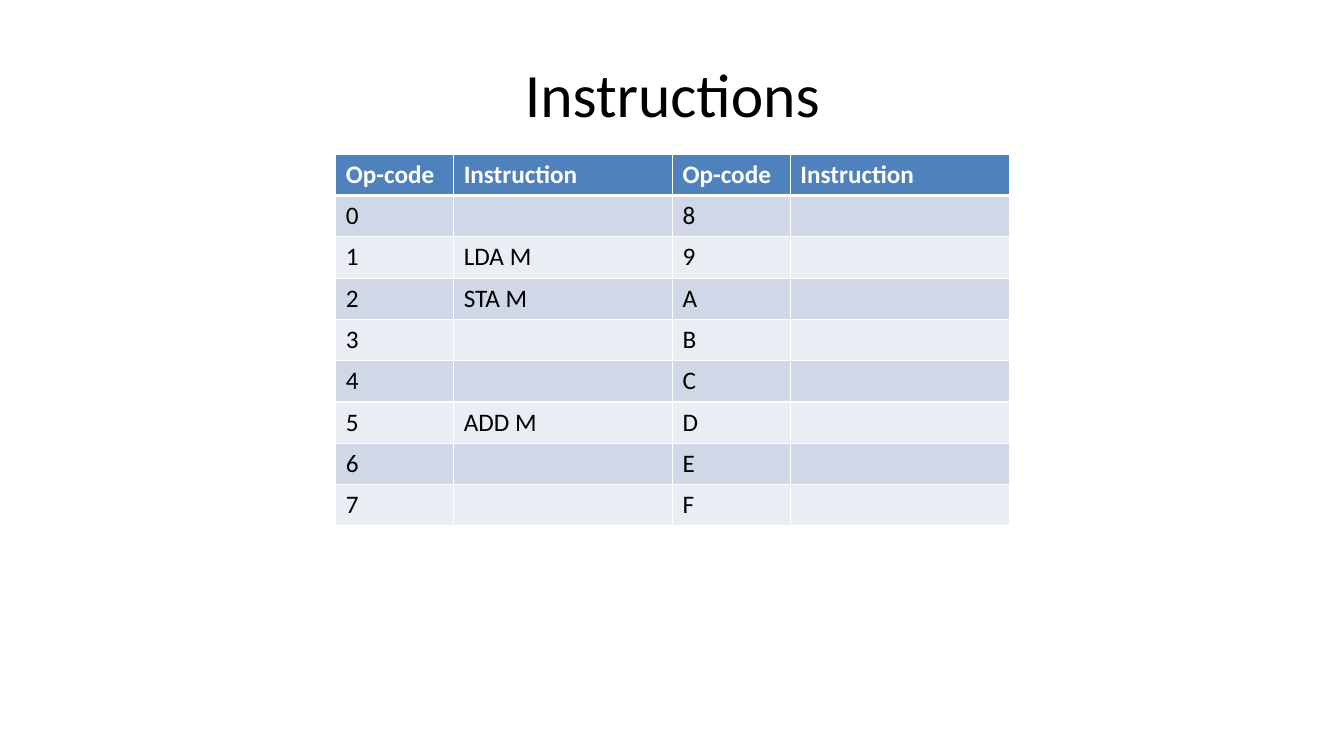
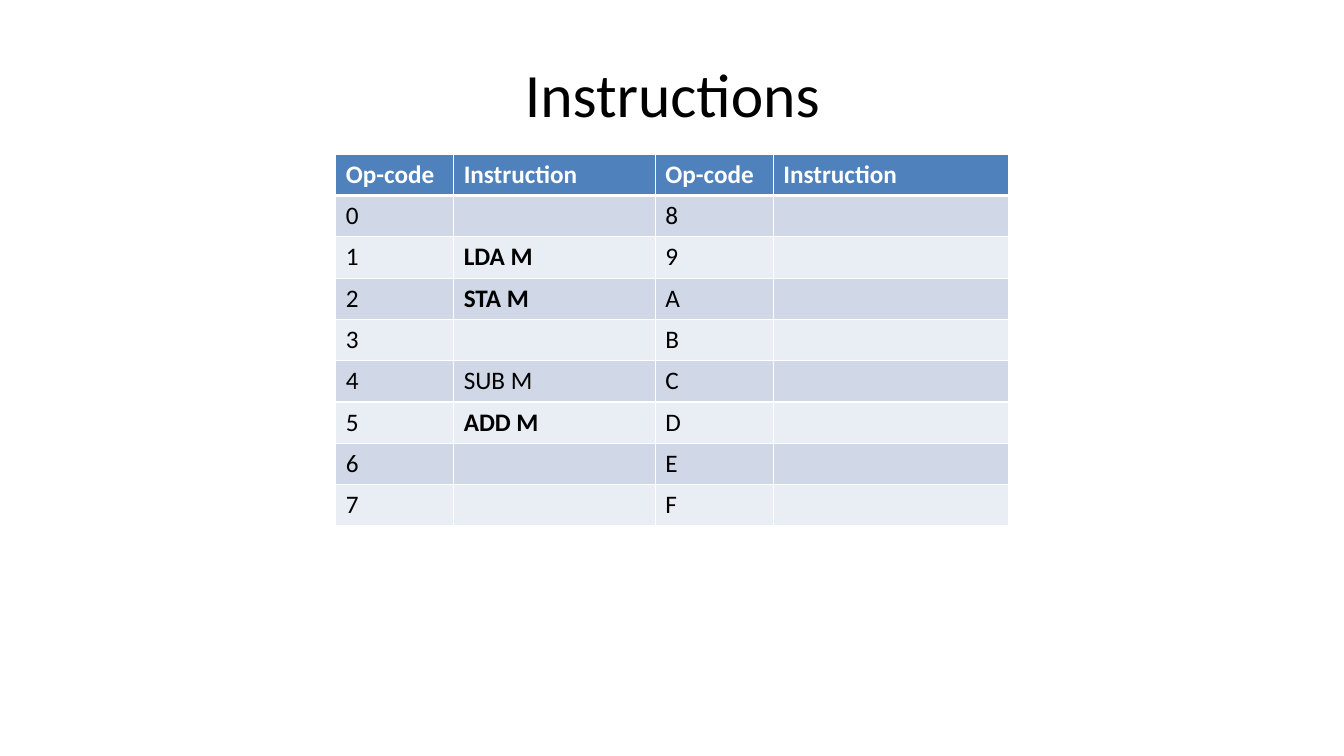
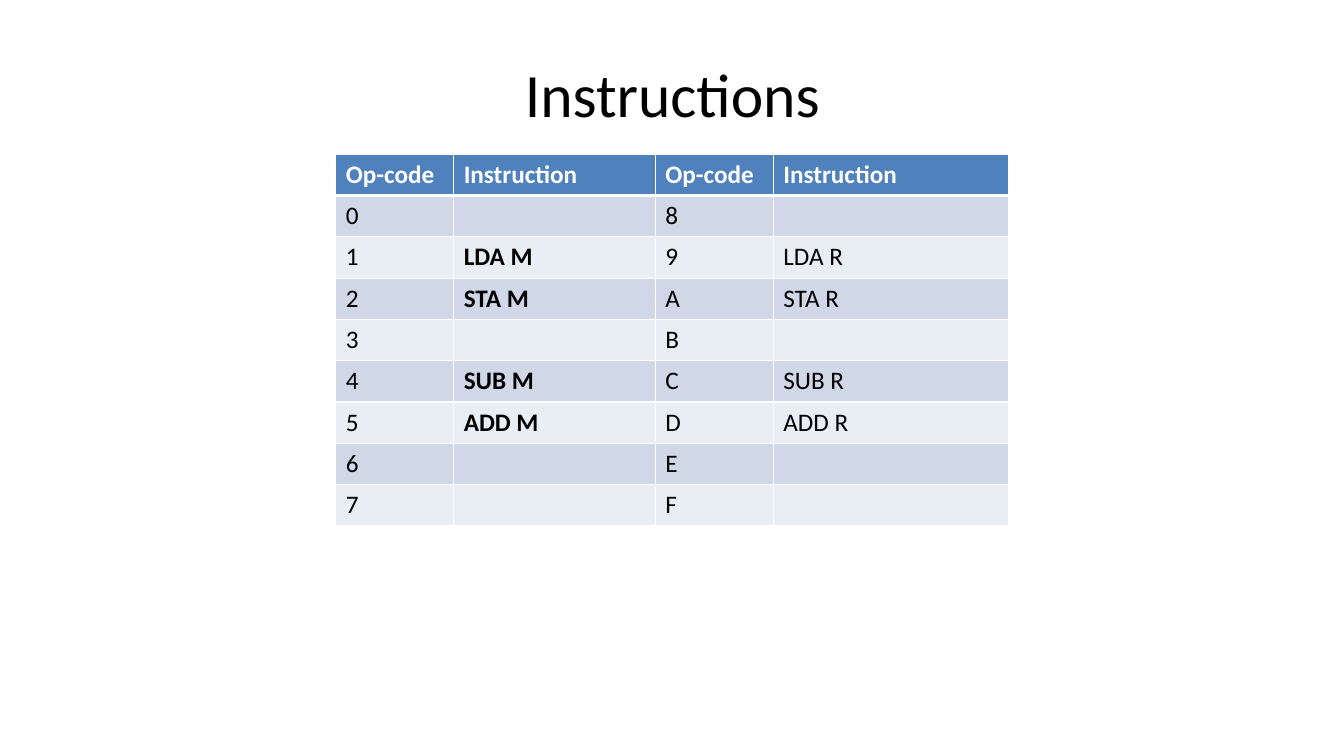
from dataclasses import dataclass

from lxml.etree import SubElement
from pptx import Presentation
from pptx.dml.color import RGBColor as Color
from pptx.enum.text import MSO_ANCHOR as Anchor, PP_ALIGN as Align
from pptx.oxml.ns import qn
from pptx.util import Inches, Pt


@dataclass(frozen=True)
class Theme:
    font: str = "Calibri"
    text: str = "000000"
    white: str = "FFFFFF"
    header: str = "4F81BD"
    bands: tuple = ("D0D8E8", "E9EDF4")
    title_size: int = 44
    table_size: int = 18
    thin: int = 1
    thick: int = 3


THEME = Theme()
TITLE_BOX = {"left": 0.67, "top": 0.3, "width": 12, "height": 1.25}
HEADINGS = ("Op-code", "Instruction") * 2
ROWS_PER_HALF = 8
ROW_HEIGHT = 0.41
EVEN_COLUMNS = (1.17, 2.17, 1.17, 2.17)
WIDE_LAST_COLUMN = (1.17, 2, 1.17, 2.33)
LOAD_STORE_ADD = {"1": "LDA M", "2": "STA M", "5": "ADD M"}
WITH_SUBTRACT = LOAD_STORE_ADD | {"4": "SUB M"}
WITH_REGISTERS = WITH_SUBTRACT | {"9": "LDA R", "A": "STA R", "C": "SUB R", "D": "ADD R"}
INSTRUCTION_SETS = (
    (EVEN_COLUMNS, LOAD_STORE_ADD, ()),
    (WIDE_LAST_COLUMN, WITH_SUBTRACT, LOAD_STORE_ADD),
    (WIDE_LAST_COLUMN, WITH_REGISTERS, WITH_SUBTRACT),
)


def format_text(paragraph, size, color, bold=False):
    """Apply the theme font to every run of a paragraph."""
    values = {"name": THEME.font, "size": Pt(size), "bold": bold}
    for run in paragraph.runs:
        for name, value in values.items():
            setattr(run.font, name, value)
        run.font.color.rgb = Color.from_string(color)


def place_title(layout):
    """Set the title position and alignment shared by all slides."""
    title = layout.placeholders[0]
    for name, value in TITLE_BOX.items():
        setattr(title, name, Inches(value))
    title.text_frame.vertical_anchor = Anchor.MIDDLE


def add_title(slide, text):
    """Fill the title placeholder."""
    title = slide.shapes.title
    title.text = text
    paragraph = title.text_frame.paragraphs[0]
    paragraph.alignment = Align.CENTER
    format_text(paragraph, THEME.title_size, THEME.text)


def add_borders(cell, widths):
    """Draw white cell borders with the given widths by side."""
    properties = cell._tc.get_or_add_tcPr()
    for side, width in widths.items():
        line = SubElement(properties, qn(f"a:ln{side}"), w=str(Pt(width)))
        fill = SubElement(line, qn("a:solidFill"))
        SubElement(fill, qn("a:srgbClr"), val=THEME.white)


def fill_cell(cell, text, row, bold):
    """Write and colour one cell according to its row."""
    is_header = row == 0
    widths = dict.fromkeys("LRTB", THEME.thin)
    if row < 2:
        widths["B" if is_header else "T"] = THEME.thick
    add_borders(cell, widths)
    cell.fill.solid()
    background = THEME.header if is_header else THEME.bands[(row - 1) % 2]
    cell.fill.fore_color.rgb = Color.from_string(background)
    cell.text = text
    color = THEME.white if is_header else THEME.text
    format_text(cell.text_frame.paragraphs[0], THEME.table_size, color, bold or is_header)


def instruction_rows(instructions):
    """List the table rows, two op-codes with their instructions in each."""
    rows = [HEADINGS]
    for number in range(ROWS_PER_HALF):
        codes = f"{number:X}", f"{number + ROWS_PER_HALF:X}"
        rows.append([text for code in codes for text in (code, instructions.get(code, ""))])
    return rows


def add_instruction_table(slide, widths, instructions, bold_codes):
    """Add the op-code table with the known instructions in bold."""
    rows = instruction_rows(instructions)
    bold_texts = {instructions[code] for code in bold_codes}
    table = slide.shapes.add_table(
        len(rows), len(widths), Inches(3.33), Inches(1.53),
        Inches(sum(widths)), Inches(ROW_HEIGHT * len(rows)),
    ).table
    for column, width in zip(table.columns, widths):
        column.width = Inches(width)
    for row, texts in enumerate(rows):
        table.rows[row].height = Inches(ROW_HEIGHT)
        for column, text in enumerate(texts):
            fill_cell(table.cell(row, column), text, row, text in bold_texts)


def main():
    """Build the three instruction slides."""
    presentation = Presentation()
    presentation.slide_width = Inches(13.33)
    presentation.slide_height = Inches(7.5)
    layout = presentation.slide_layouts.get_by_name("Title Only")
    place_title(layout)
    for widths, instructions, bold_codes in INSTRUCTION_SETS:
        slide = presentation.slides.add_slide(layout)
        add_title(slide, "Instructions")
        add_instruction_table(slide, widths, instructions, bold_codes)
    presentation.save("out.pptx")


if __name__ == "__main__":
    main()
